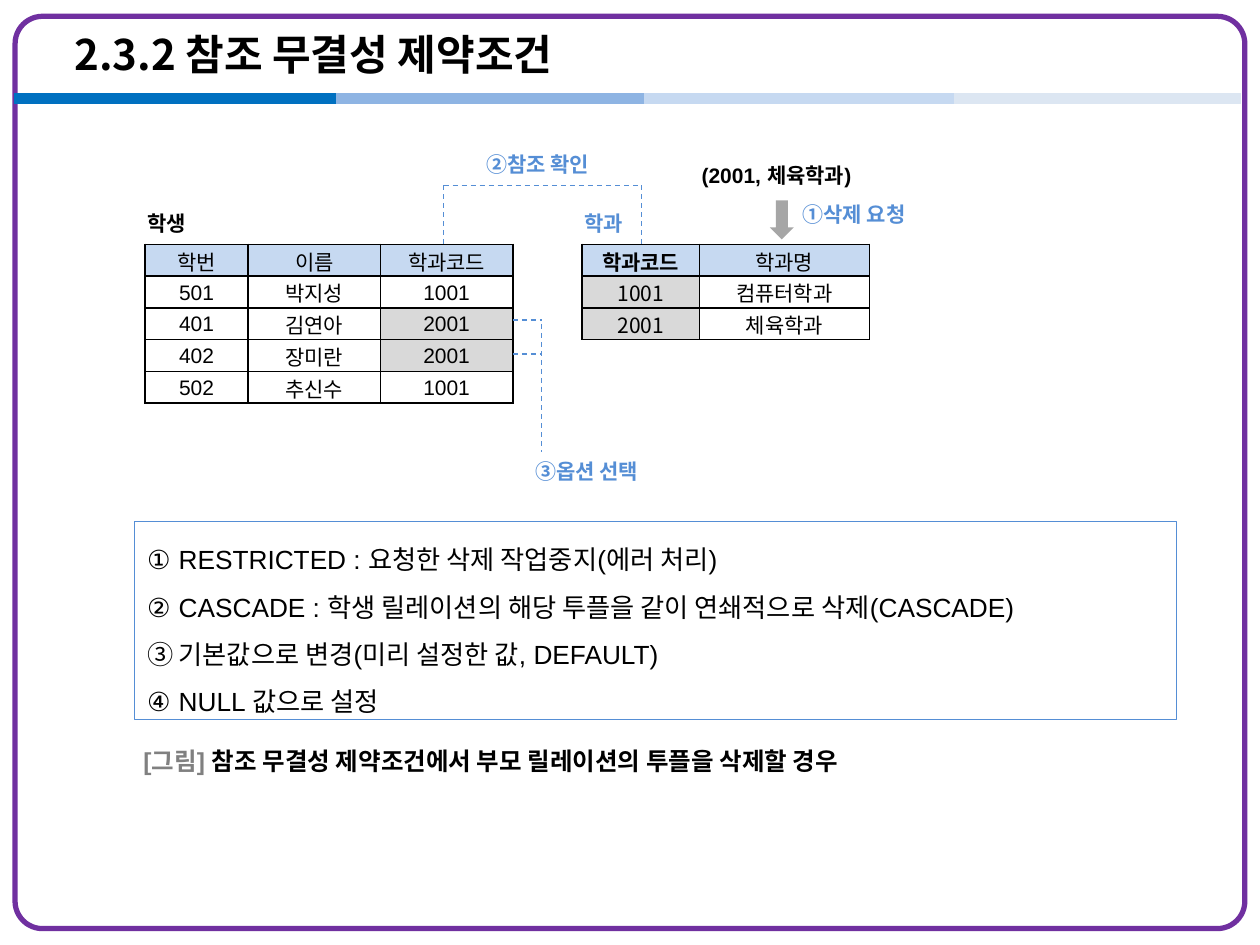
from lxml import etree
from pptx import Presentation
from pptx.dml.color import RGBColor
from pptx.enum.dml import MSO_LINE
from pptx.enum.shapes import MSO_CONNECTOR, MSO_SHAPE
from pptx.enum.text import MSO_ANCHOR, MSO_AUTO_SIZE, PP_ALIGN
from pptx.oxml.ns import qn
from pptx.util import Inches, Pt

STRAIGHT = MSO_CONNECTOR.STRAIGHT
DASH = MSO_LINE.DASH
MIDDLE, TOP = MSO_ANCHOR.MIDDLE, MSO_ANCHOR.TOP
LEFT, CENTER = PP_ALIGN.LEFT, PP_ALIGN.CENTER

THEME = {
    "latin": "Arial", "korean": "Noto Sans CJK KR",
    "title": 24, "list": 15, "caption": 14, "label": 12,
    "text": "000000", "accent": "558ED5", "muted": "808080", "frame": "7030A0",
    "header": "C6D9F1", "key": "D9D9D9", "plain": "FFFFFF", "arrow": "A6A6A6",
}

# Content
TITLE = "2.3.2 참조 무결성 제약조건"
BARS = [(0.11, 2.67, "0070C0"), (2.67, 5.23, "8EB4E3"),
        (5.11, 7.67, "C6D9F1"), (7.57, 9.85, "DCE6F2")]
STUDENTS = [("학번", "이름", "학과코드"), ("501", "박지성", "1001"),
            ("401", "김연아", "2001"), ("402", "장미란", "2001"),
            ("502", "추신수", "1001")]
DEPARTMENTS = [("학과코드", "학과명"), ("1001", "컴퓨터학과"), ("2001", "체육학과")]
LABELS = [  # text, left, top, width, font, colour
    ("학생", 1.07, 1.62, 0.54, "latin", "text"),
    ("학과", 4.54, 1.62, 0.54, "latin", "accent"),
    ("①삭제 요청", 6.27, 1.55, 1.38, "korean", "accent"),
    ("(2001, 체육학과)", 5.47, 1.24, 1.49, "latin", "text"),
    ("②참조 확인", 3.76, 1.15, 1.38, "korean", "accent"),
    ("③옵션 선택", 4.15, 3.59, 1.38, "korean", "accent"),
]
OPTIONS = ["RESTRICTED : 요청한 삭제 작업중지(에러 처리)",
           "CASCADE : 학생 릴레이션의 해당 투플을 같이 연쇄적으로 삭제(CASCADE)",
           "기본값으로 변경(미리 설정한 값, DEFAULT)",
           "NULL 값으로 설정"]
CAPTION = [("[그림] ", "muted"),
           ("참조 무결성 제약조건에서 부모 릴레이션의 투플을 삭제할 경우", "text")]

# Places of the dashed guides
TABLE_TOP, CHECK_TOP = 1.94, 1.47
STUDENT_CODE, DEPARTMENT_CODE = 3.52, 5.09
STUDENT_RIGHT, OPTION_X = 4.07, 4.3
GUIDES = [
    (STUDENT_CODE, CHECK_TOP, STUDENT_CODE, TABLE_TOP),
    (STUDENT_CODE, CHECK_TOP, DEPARTMENT_CODE, CHECK_TOP),
    (DEPARTMENT_CODE, CHECK_TOP, DEPARTMENT_CODE, TABLE_TOP),
    (STUDENT_RIGHT, 2.54, OPTION_X, 2.54),
    (STUDENT_RIGHT, 2.81, OPTION_X, 2.81),
    (OPTION_X, 2.57, OPTION_X, 3.59),
]


def rgb(name):
    return RGBColor.from_string(THEME.get(name, name))


def set_font(font, size, face="latin", color="text", bold=False):
    font.name, font.size, font.bold = THEME[face], Pt(THEME[size]), bold
    font.color.rgb = rgb(color)


def add_line(slide, x1, y1, x2, y2, color, width, dash=None):
    line = slide.shapes.add_connector(
        STRAIGHT, Inches(x1), Inches(y1), Inches(x2), Inches(y2))
    line.line.color.rgb = rgb(color)
    line.line.width = Pt(width)
    if dash:
        line.line.dash_style = dash
    etree.SubElement(line._element.spPr, qn("a:effectLst"))


def add_shape(slide, kind, box, fill=None, line=None, width=0.75):
    shape = slide.shapes.add_shape(kind, *map(Inches, box))
    shape.shadow.inherit = False
    if fill:
        shape.fill.solid()
        shape.fill.fore_color.rgb = rgb(fill)
    else:
        shape.fill.background()
    if line:
        shape.line.color.rgb = rgb(line)
        shape.line.width = Pt(width)
    else:
        shape.line.fill.background()
    return shape


def add_text_box(slide, box):
    text_box = slide.shapes.add_textbox(*map(Inches, box))
    text_box.text_frame.word_wrap = True
    return text_box.text_frame


def set_borders(cell):
    properties = cell._tc.get_or_add_tcPr()
    for index, side in enumerate(("lnL", "lnR", "lnT", "lnB")):
        border = etree.Element(qn(f"a:{side}"), w=str(Pt(1)))
        fill = etree.SubElement(border, qn("a:solidFill"))
        etree.SubElement(fill, qn("a:srgbClr"), val=THEME["text"])
        properties.insert(index, border)


def add_table(slide, rows, left, widths, face, key_cells, bold_cells=()):
    row_height = 0.25
    table = slide.shapes.add_table(
        len(rows), len(widths), Inches(left), Inches(TABLE_TOP),
        Inches(sum(widths)), Inches(row_height * len(rows))).table
    table.first_row = table.horz_banding = False
    for column, width in zip(table.columns, widths):
        column.width = Inches(width)
    for r, values in enumerate(rows):
        table.rows[r].height = Inches(row_height)
        for c, value in enumerate(values):
            cell = table.cell(r, c)
            cell.text = value
            cell.vertical_anchor = MIDDLE
            cell.margin_left = cell.margin_right = cell.margin_top = Inches(0.01)
            cell.margin_bottom = 0
            paragraph = cell.text_frame.paragraphs[0]
            paragraph.alignment = CENTER
            set_font(paragraph.font, "label", face, bold=(r, c) in bold_cells)
            fill = "header" if r == 0 else "key" if (r, c) in key_cells else "plain"
            cell.fill.solid()
            cell.fill.fore_color.rgb = rgb(fill)
            set_borders(cell)


def add_options(slide):
    box = add_shape(slide, MSO_SHAPE.RECTANGLE, (1.07, 4.14, 8.27, 1.57),
                    "plain", "accent")
    frame = box.text_frame
    frame.word_wrap = True
    frame.vertical_anchor = TOP
    for index, option in enumerate(OPTIONS):
        paragraph = frame.add_paragraph() if index else frame.paragraphs[0]
        paragraph.text = option
        paragraph.alignment = LEFT
        paragraph.line_spacing = 1.5
        properties = paragraph._p.get_or_add_pPr()
        properties.set("marL", str(Inches(0.25)))
        properties.set("indent", str(Inches(-0.25)))
        etree.SubElement(properties, qn("a:buAutoNum"), type="circleNumDbPlain")
        set_font(paragraph.font, "list")


def main():
    presentation = Presentation()
    presentation.slide_width, presentation.slide_height = Inches(10), Inches(7.5)
    slide = presentation.slides.add_slide(presentation.slide_layouts[5])

    # Frame, header bar and title
    frame = add_shape(slide, MSO_SHAPE.ROUNDED_RECTANGLE,
                      (0.12, 0.13, 9.76, 7.24), line="frame", width=3)
    frame.adjustments[0] = 0.03
    for start, end, color in BARS:
        add_line(slide, start, 0.78, end, 0.78, color, 6)
    title = slide.shapes.title
    title.left, title.top, title.width, title.height = map(
        Inches, (0.49, 0.13, 8.27, 0.6))
    title.text_frame.text = TITLE
    title.text_frame.auto_size = MSO_AUTO_SIZE.NONE
    title.text_frame.vertical_anchor = MIDDLE
    paragraph = title.text_frame.paragraphs[0]
    paragraph.alignment = LEFT
    set_font(paragraph.font, "title", "korean", bold=True)

    # Tables
    add_table(slide, STUDENTS, 1.15, (0.82, 1.05, 1.05), "latin", {(2, 2), (3, 2)})
    add_table(slide, DEPARTMENTS, 4.62, (0.93, 1.35), "korean",
              {(1, 0), (2, 0)}, {(0, 0)})

    # Labels, guides and request arrow
    for text, left, top, width, face, color in LABELS:
        paragraph = add_text_box(slide, (left, top, width, 0.3)).paragraphs[0]
        paragraph.text = text
        set_font(paragraph.font, "label", face, color, True)
    for guide in GUIDES:
        add_line(slide, *guide, "accent", 0.75, DASH)
    arrow = add_shape(slide, MSO_SHAPE.RIGHT_ARROW, (6.05, 1.65, 0.31, 0.19), "arrow")
    arrow.rotation = 90

    # Options and caption
    add_options(slide)
    caption = add_text_box(slide, (1.04, 5.88, 6.85, 0.31))
    caption.vertical_anchor = MIDDLE
    for text, color in CAPTION:
        run = caption.paragraphs[0].add_run()
        run.text = text
        set_font(run.font, "caption", color=color, bold=True)

    presentation.save("out.pptx")


if __name__ == "__main__":
    main()
